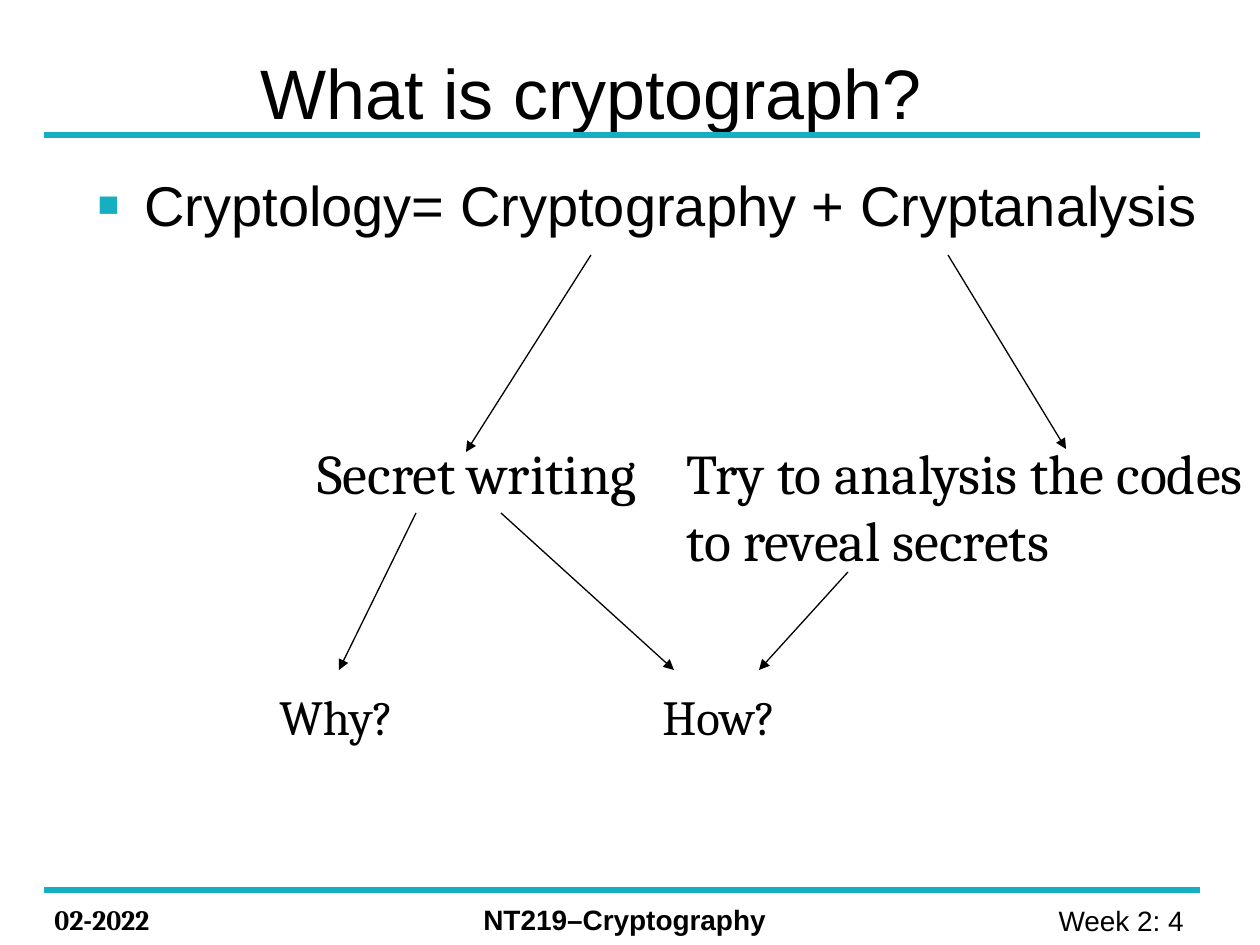
from lxml import etree
from pptx import Presentation
from pptx.dml.color import RGBColor
from pptx.enum.shapes import MSO_CONNECTOR as Conn
from pptx.enum.text import MSO_ANCHOR as Anchor, PP_ALIGN as Align
from pptx.oxml.ns import qn
from pptx.util import Pt

SCALE = 914400 / 126
TEAL = RGBColor(0x16, 0xAF, 0xC2)
BLACK = RGBColor(0, 0, 0)

RULES = [135, 890]
FOOT = [
    ("02-2022", (42, 896, 168, 47), "Cambria", True, Align.LEFT),
    ("NT219–Cryptography", (471, 896, 456, 47), "Arial", True, Align.LEFT),
    ("Week 2: 4 ", (927, 897, 277, 47), "Arial", False, Align.RIGHT),
]
NOTES = [
    ("Secret writing", (305, 432, 344, 81), 32),
    ("Try to analysis the codes\nto reveal secrets", (674, 432, 586, 149), 32),
    ("Why?", (267, 680, 144, 72), 28),
    ("How?", (650, 680, 144, 72), 28),
]
ARROWS = [
    (591, 255, 466, 452),
    (948, 255, 1066, 449),
    (416, 513, 339, 670),
    (501, 513, 674, 670),
    (848, 572, 759, 670),
]


def px(num):
    return round(num * SCALE)


def style(obj, form):
    for key, val in form.items():
        setattr(obj, key, val)


def fill_text(shape, text, size, face, bold=False, align=Align.LEFT, wrap=True):
    frame = shape.text_frame
    frame.text = text
    frame.word_wrap = wrap
    for para in frame.paragraphs:
        para.alignment = align
        for run in para.runs:
            style(run.font, {"size": Pt(size), "name": face, "bold": bold})
            run.font.color.rgb = BLACK


def add_text(slide, box, *args, **form):
    shape = slide.shapes.add_textbox(*map(px, box))
    fill_text(shape, *args, **form)
    return shape


def add_title(slide, text):
    title = slide.shapes.title
    spots = map(px, (248, 37, 917, 110))
    style(title, dict(zip(("left", "top", "width", "height"), spots)))
    fill_text(title, text, 40, "Arial")
    title.text_frame.vertical_anchor = Anchor.MIDDLE


def add_bullet(slide, text):
    """Add the body line with a hanging square bullet."""
    shape = add_text(slide, (84, 164, 1130, 684), text, 32, "Arial")
    para = shape.text_frame.paragraphs[0]
    para.space_before = Pt(4)
    props = para._p.get_or_add_pPr()
    props.set("marL", str(px(48)))
    props.set("indent", str(px(-48)))
    color = etree.SubElement(props, qn("a:buClr"))
    etree.SubElement(color, qn("a:srgbClr"), val=str(TEAL))
    etree.SubElement(props, qn("a:buSzPct"), val="125000")
    etree.SubElement(props, qn("a:buFont"), typeface="Arial")
    etree.SubElement(props, qn("a:buChar"), char="▪")


def add_line(slide, ends, color, width, arrow=False):
    line = slide.shapes.add_connector(Conn.STRAIGHT, *map(px, ends))
    line.line.color.rgb = color
    line.line.width = Pt(width)
    if arrow:
        etree.SubElement(line.line._get_or_add_ln(), qn("a:tailEnd"), type="triangle")
    etree.SubElement(line._element.spPr, qn("a:effectLst"))


def main():
    deck = Presentation()
    style(deck, {"slide_width": px(1260), "slide_height": px(945)})
    slide = deck.slides.add_slide(deck.slide_layouts[5])
    for y in RULES:
        add_line(slide, (44, y, 1200, y), TEAL, 3)
    for text, box, face, bold, align in FOOT:
        add_text(slide, box, text, 16, face, bold=bold, align=align)
    add_title(slide, "What is cryptograph?")
    add_bullet(slide, "Cryptology= Cryptography + Cryptanalysis")
    for text, box, size in NOTES:
        add_text(slide, box, text, size, "Cambria", wrap=False)
    for ends in ARROWS:
        add_line(slide, ends, BLACK, 0.75, arrow=True)
    deck.save("out.pptx")


if __name__ == "__main__":
    main()
